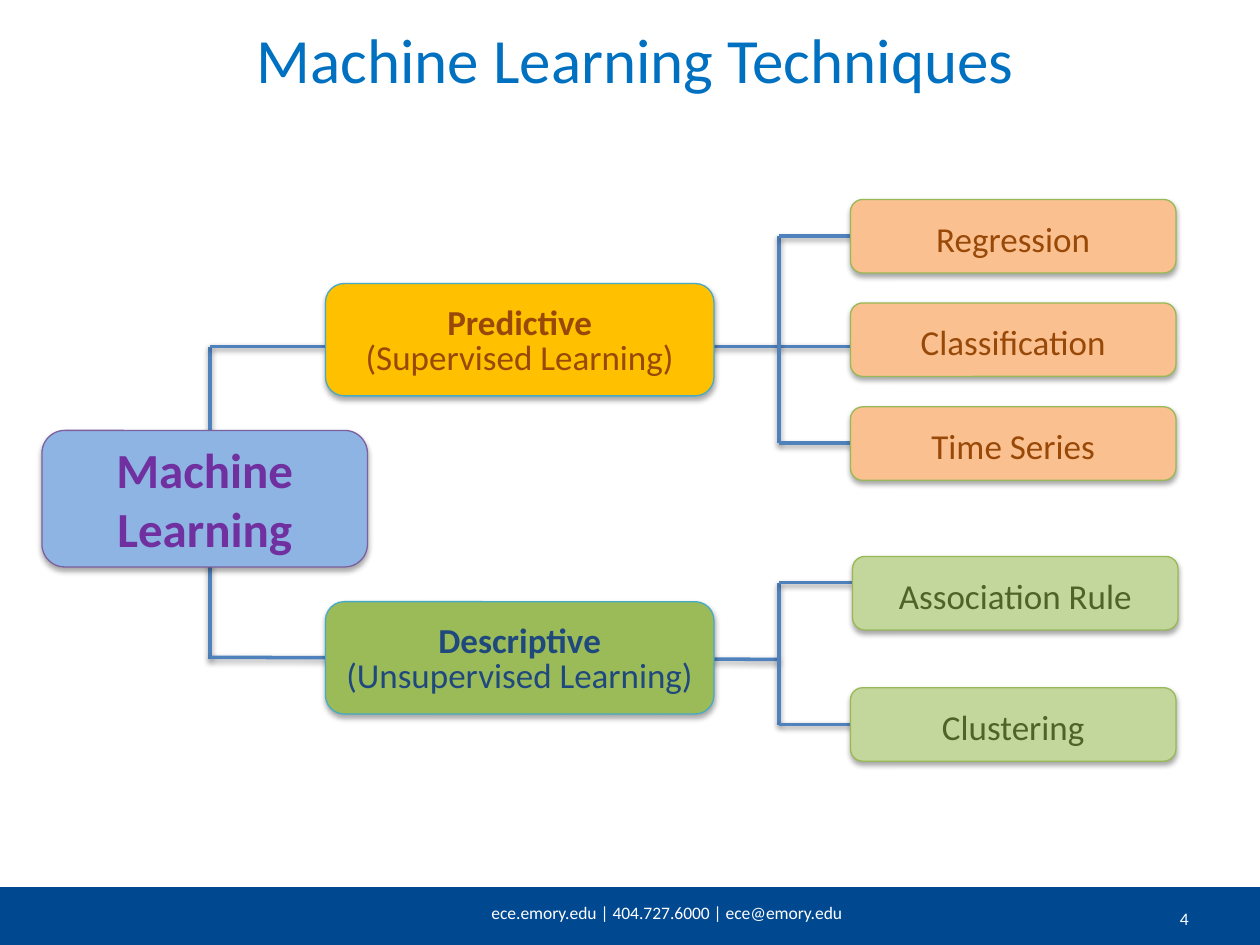
from lxml.etree import SubElement
from pptx import Presentation
from pptx.dml.color import RGBColor
from pptx.enum.shapes import MSO_CONNECTOR as CONN, MSO_SHAPE as SHAPE
from pptx.enum.text import MSO_ANCHOR as ANCHOR, PP_ALIGN as ALIGN
from pptx.oxml.ns import qn
from pptx.util import Inches, Pt

COLS, ROWS = 120, 90  # grid of square cells
prs = Presentation()
prs.slide_width, prs.slide_height = Inches(10), Inches(7.5)
U = prs.slide_width / COLS
s = prs.slides.add_slide(prs.slide_layouts[5])


def write(shape, *lines, size=20, color="FFFFFF", bold=(False,), spacing=None,
          anchor=ANCHOR.MIDDLE, drop=None):
    """Fill a shape with centred lines; drop is the top inset in cells."""
    tf = shape.text_frame
    tf.word_wrap, tf.vertical_anchor = True, anchor
    if drop is not None:
        tf.margin_top, tf.margin_bottom = int(drop * U), 0
    p = tf.paragraphs[0]
    p.alignment = ALIGN.CENTER
    if spacing:
        p.line_spacing = Pt(spacing)
    for i, (line, b) in enumerate(zip(lines, bold)):
        if i:
            p.add_line_break()
        r = p.add_run()
        r.text = line
        r.font.name, r.font.size, r.font.bold = "Calibri", Pt(size), b
        r.font.color.rgb = RGBColor.from_string(color)


def style(shape, line, width, alpha, dist, fill=None):
    """Set outline, fill and a soft shadow straight below."""
    if fill:
        shape.fill.solid()
        shape.fill.fore_color.rgb = RGBColor.from_string(fill)
    shape.line.color.rgb = RGBColor.from_string(line)
    shape.line.width = Pt(width)
    effects = SubElement(shape._element.spPr, qn("a:effectLst"))
    shadow = SubElement(effects, qn("a:outerShdw"), blurRad="40000", dist=str(dist),
                        dir="5400000", rotWithShape="0")
    black = SubElement(shadow, qn("a:srgbClr"), val="000000")
    SubElement(black, qn("a:alpha"), val=str(alpha * 1000))


# Title
title = s.shapes.title
title.left, title.top, title.width, title.height = (
    int(n * U) for n in (2.2, 1.9, 116.6, 7.3))
write(title, "Machine Learning Techniques", size=36, color="0070C0")

# Footer band
band = s.shapes.add_shape(SHAPE.RECTANGLE, 0, int(84.5 * U), prs.slide_width, int(5.5 * U))
band.shadow.inherit = False
band.fill.solid()
band.fill.fore_color.rgb = RGBColor.from_string("004991")
band.line.fill.background()
for text, *box in [("ece.emory.edu | 404.727.6000 | ece@emory.edu", 40, 85.3, 47, 3.4),
                   ("4", 106.8, 85.9, 12, 4.1)]:
    footer = s.shapes.add_textbox(*(int(n * U) for n in box))
    write(footer, text, size=10, anchor=ANCHOR.TOP)

# Tree branches: x1, y1, x2, y2
trunk, fork, leaf_x = 20, 74.2, 81
upper, lower = 33, 62.8
branches = [
    (trunk, lower, trunk, upper),
    (trunk, upper, 31, upper),
    (trunk, lower - 0.2, fork, lower),
    (67, upper, leaf_x, upper),
    (fork, 42.2, fork, 22.5),
    (fork, 69, fork, 55.5),
    *((fork, y, leaf_x + 0.2, y) for y in (22.5, 42.2, 55.5, 69)),
]
for ends in branches:
    branch = s.shapes.add_connector(CONN.STRAIGHT, *(int(n * U) for n in ends))
    style(branch, "4F81BD", 2, 38, 20000)

# Nodes: lines, box, fill, outline, text format
root = dict(size=28, color="7030A0", bold=(True,))
group = dict(bold=(True, False), spacing=20, drop=0.6)
leaf = dict(spacing=19, drop=1.2)
nodes = [
    (["Machine Learning"], (4, 41, 31, 13), "8EB4E3", "7D60A0", root),
    (["Predictive", "(Supervised Learning)"], (31, 27, 37, 10.7),
     "FFC000", "46AAC5", group | {"color": "984807"}),
    (["Descriptive", "(Unsupervised Learning)"], (31, 57.3, 37, 10.7),
     "9BBB59", "46AAC5", group | {"color": "1F497D"}),
]
for fill, color, leaves in [
    ("FAC090", "984807", [("Regression", 81, 19), ("Classification", 81, 28.85),
                          ("Time Series", 81, 38.75)]),
    ("C3D69B", "4F6228", [("Association Rule", 81.2, 53), ("Clustering", 81, 65.5)]),
]:
    for name, x, y in leaves:
        nodes.append(([name], (x, y, 31, 7), fill, "98B955", leaf | {"color": color}))

for lines, box, fill, outline, fmt in nodes:
    node = s.shapes.add_shape(SHAPE.ROUNDED_RECTANGLE, *(int(n * U) for n in box))
    style(node, outline, 0.75, 35, 23000, fill)
    write(node, *lines, **fmt)

prs.save("out.pptx")
